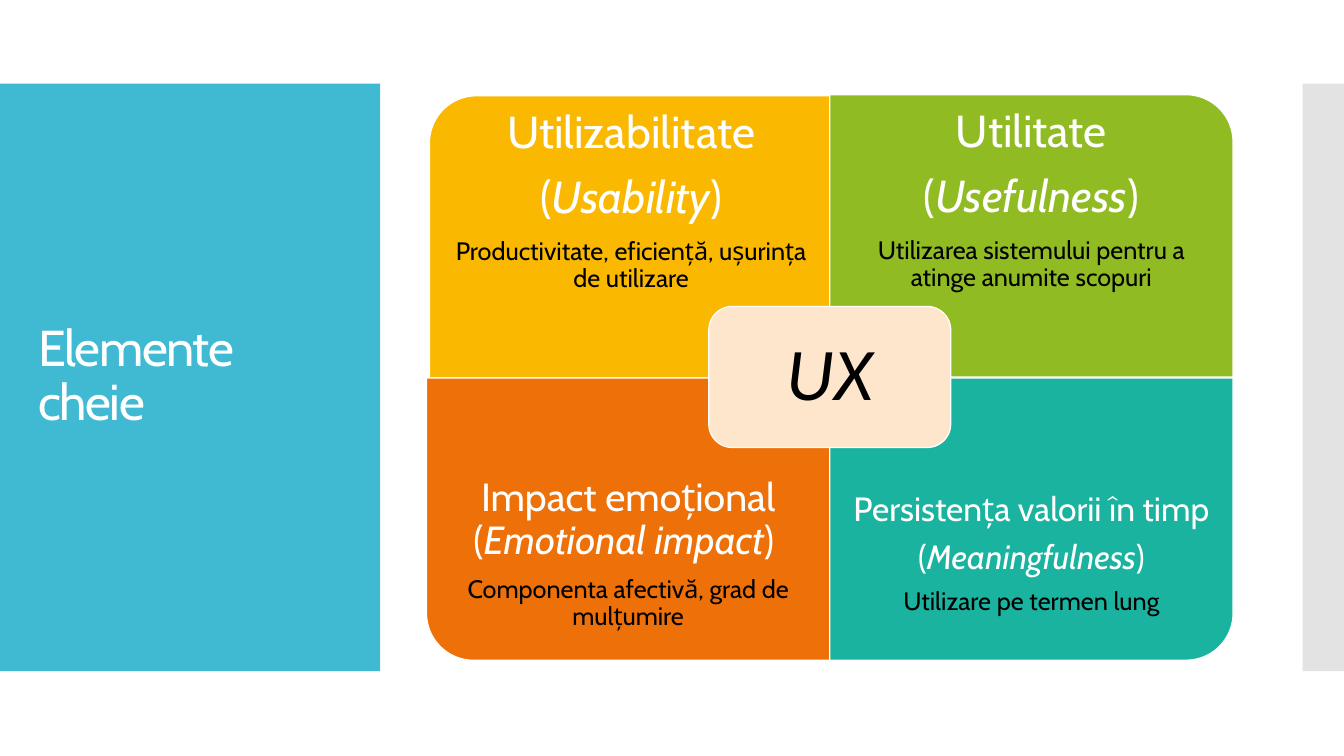
"""Builds a slide showing the four key elements of user experience around UX."""
import lxml.etree
import pptx
import pptx.dml.color
import pptx.enum.shapes
import pptx.enum.text
import pptx.oxml.ns
import pptx.util

Inches = pptx.util.Inches
Pt = pptx.util.Pt
RGBColor = pptx.dml.color.RGBColor
MSO_SHAPE = pptx.enum.shapes.MSO_SHAPE
PP_ALIGN = pptx.enum.text.PP_ALIGN

WHITE = RGBColor(0xFF, 0xFF, 0xFF)
BLACK = RGBColor(0x00, 0x00, 0x00)
BLUE = RGBColor(0x40, 0xBA, 0xD2)
GREY = RGBColor(0xC8, 0xC8, 0xC8)
YELLOW = RGBColor(0xFA, 0xB9, 0x00)
GREEN = RGBColor(0x90, 0xBB, 0x23)
ORANGE = RGBColor(0xEE, 0x70, 0x08)
TEAL = RGBColor(0x1A, 0xB3, 0x9F)
CREAM = RGBColor(0xFD, 0xE6, 0xCC)

CARD_WIDTH, CARD_HEIGHT, TEXT_HEIGHT = 4, 2.8, 2.1
DETAIL_SIZE = 18


class SlideBuilder:
    """Draws panels, text and quadrant cards on one slide."""

    font = "Cabin"
    line_spacing = 0.9
    space_share = 0.35

    def __init__(self, slide):
        self.slide = slide

    def panel(self, kind, box, color, outlined=False, rotation=0, alpha=None):
        """Adds a filled preset shape."""
        shape = self.slide.shapes.add_shape(kind, *map(Inches, box))
        shape.shadow.inherit = False
        shape.rotation = rotation
        shape.fill.solid()
        shape.fill.fore_color.rgb = color
        if alpha is not None:
            tint = next(shape._element.spPr.iter(pptx.oxml.ns.qn("a:srgbClr")))
            lxml.etree.SubElement(tint, pptx.oxml.ns.qn("a:alpha")).set("val", str(alpha * 1000))
        if outlined:
            shape.line.color.rgb = WHITE
            shape.line.width = Pt(0.85)
        else:
            shape.line.fill.background()

    def text(self, box, margin, paragraphs, font=font):
        """Adds centred paragraphs, each given as (runs, size, color) with (text, italic) runs."""
        frame = self.frame(box, margin, margin)
        for index, (runs, size, color) in enumerate(paragraphs):
            paragraph = frame.add_paragraph() if index else frame.paragraphs[0]
            paragraph.alignment = PP_ALIGN.CENTER
            paragraph.line_spacing = self.line_spacing
            paragraph.space_after = Pt(size * self.space_share)
            for words, italic in runs:
                run = paragraph.add_run()
                run.text = words
                self.style(run, size, color, font)
                run.font.italic = italic

    def title(self, box, words):
        """Adds the slide title with slightly tightened letters."""
        frame = self.frame(box, 0.1, 0.05)
        frame.text = words
        paragraph = frame.paragraphs[0]
        paragraph.line_spacing = self.line_spacing
        run = paragraph.runs[0]
        self.style(run, 36, WHITE, self.font)
        run.font._element.set("spc", "-100")

    def frame(self, box, side_margin, end_margin):
        """Adds a wrapping, vertically centred text box and returns its frame."""
        frame = self.slide.shapes.add_textbox(*map(Inches, box)).text_frame
        frame.word_wrap = True
        frame.vertical_anchor = pptx.enum.text.MSO_ANCHOR.MIDDLE
        frame.margin_left = frame.margin_right = Inches(side_margin)
        frame.margin_top = frame.margin_bottom = Inches(end_margin)
        return frame

    def style(self, run, size, color, font):
        """Sets the font of a run."""
        run.font.size = Pt(size)
        run.font.name = font
        run.font.color.rgb = color

    def card(self, left, top, rotation, color, text_offset, margin, size, headings, detail):
        """Adds a quadrant whose rounded corner is turned outwards, with its text."""
        width, height = CARD_WIDTH, CARD_HEIGHT
        if rotation % 180:
            width, height = height, width
        box = (left + (CARD_WIDTH - width) / 2, top + (CARD_HEIGHT - height) / 2, width, height)
        self.panel(MSO_SHAPE.ROUND_1_RECTANGLE, box, color, True, rotation)
        paragraphs = [(runs, size, WHITE) for runs in headings]
        paragraphs.append(([(detail, False)], DETAIL_SIZE, BLACK))
        self.text((left, top + text_offset, CARD_WIDTH, TEXT_HEIGHT), margin, paragraphs)


def bracketed(term, ending=")"):
    """Returns runs for an italic term in upright brackets."""
    return [("(", False), (term, True), (ending, False)]


def main():
    """Builds and saves the presentation."""
    presentation = pptx.Presentation()
    presentation.slide_width = Inches(13.33)
    presentation.slide_height = Inches(7.5)
    builder = SlideBuilder(presentation.slides.add_slide(presentation.slide_layouts[6]))

    builder.panel(MSO_SHAPE.RECTANGLE, (0, 0.83, 3.77, 5.83), BLUE)
    builder.title((0.28, 1.23, 3.22, 5.03), "Elemente cheie")
    builder.panel(MSO_SHAPE.RECTANGLE, (12.92, 0.83, 0.42, 5.83), GREY, alpha=50)

    lower_offset = CARD_HEIGHT - TEXT_HEIGHT
    cards = [
        (4.26, 0.95, 270, YELLOW, 0, 0.25, 32,
         [[("Utilizabilitate", False)], bracketed("Usability")],
         "Productivitate, eficiență, ușurința de utilizare"),
        (8.23, 0.94, 0, GREEN, 0, 0.25, 32,
         [[("Utilitate", False)], bracketed("Usefulness")],
         "Utilizarea sistemului pentru a atinge anumite scopuri"),
        (4.23, 3.75, 180, ORANGE, lower_offset, 0.22, 28,
         [[("Impact emoțional ", False)] + bracketed("Emotional impact", ") ")],
         "Componenta afectivă, grad de mulțumire"),
        (8.23, 3.75, 90, TEAL, lower_offset, 0.19, 24,
         [[("Persistența valorii în timp", False)], bracketed("Meaningfulness")],
         "Utilizare pe termen lung"),
    ]
    for card in cards:
        builder.card(*card)

    builder.panel(MSO_SHAPE.ROUNDED_RECTANGLE, (7.03, 3.04, 2.4, 1.4), CREAM, True)
    builder.text((7.1, 3.11, 2.26, 1.26), 0.22, [([("UX", True)], 53, BLACK)], "Calibri")
    presentation.save("out.pptx")


if __name__ == "__main__":
    main()
